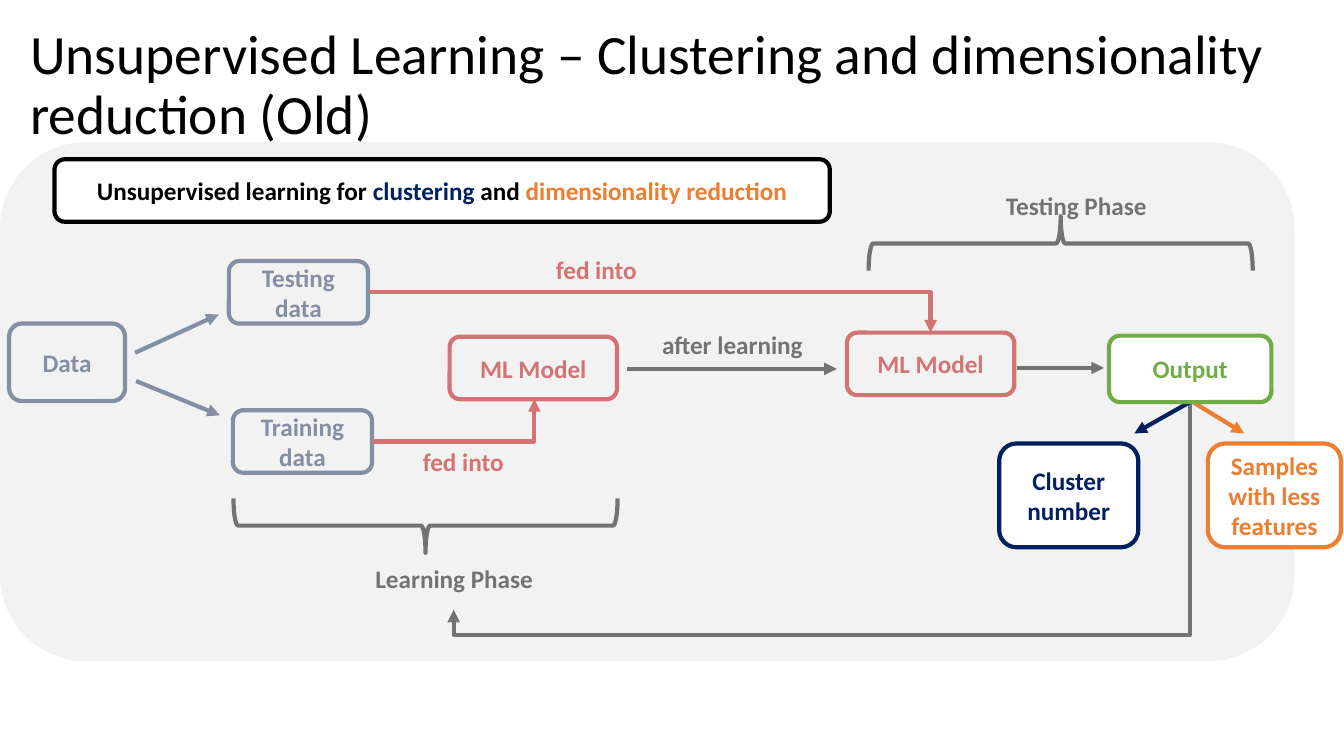
import pptx
import pptx.dml.color
import pptx.enum.shapes
import pptx.enum.text
import pptx.oxml.ns
import pptx.util
from lxml import etree

RGBColor = pptx.dml.color.RGBColor
BLACK = RGBColor(0, 0, 0)
WHITE = RGBColor(255, 255, 255)
BLUE = RGBColor(0x20, 0x38, 0x64)
RED = RGBColor(0xC0, 0, 0)
NAVY = RGBColor(0, 0x20, 0x60)
ORANGE = RGBColor(0xED, 0x7D, 0x31)
GREEN = RGBColor(0x70, 0xAD, 0x47)
GREY = RGBColor(0xE7, 0xE6, 0xE6)

FONT = "Calibri"
LINE_WIDTH = pptx.util.Pt(3)
BOX_ROWS = 6.2
SHAPES = pptx.enum.shapes.MSO_SHAPE
CONNECTORS = pptx.enum.shapes.MSO_CONNECTOR
MIDDLE = pptx.enum.text.MSO_ANCHOR.MIDDLE
ALIGN = pptx.enum.text.PP_ALIGN


def cells(*counts):
    return [pptx.util.Inches(count / 10) for count in counts]


def add_child(parent, tag, **attributes):
    return etree.SubElement(parent, pptx.oxml.ns.qn(tag), attributes)


def add_title(slide, text):
    title = slide.shapes.title
    title.left, title.top, title.width, title.height = cells(2, 5.5, 129.2, 6.2)
    frame = title.text_frame
    frame.text = text
    frame.word_wrap = True
    frame.auto_size = pptx.enum.text.MSO_AUTO_SIZE.NONE
    frame.vertical_anchor = MIDDLE
    paragraph = frame.paragraphs[0]
    paragraph.alignment = ALIGN.LEFT
    paragraph.line_spacing = 0.9
    paragraph.font.name = FONT
    paragraph.font.size = pptx.util.Pt(39.6)
    paragraph.font.color.rgb = BLACK


def add_shape(slide, kind, box, fill=None, line=None):
    shape = slide.shapes.add_shape(kind, *cells(*box))
    shape.shadow.inherit = False
    if fill is None:
        shape.fill.background()
    else:
        shape.fill.solid()
        shape.fill.fore_color.rgb = fill
    if line is None:
        shape.line.fill.background()
    else:
        shape.line.color.rgb = line
        shape.line.width = LINE_WIDTH
    return shape


def add_box(slide, box, runs, color, fill=WHITE, outlined=True):
    shape = add_shape(slide, SHAPES.ROUNDED_RECTANGLE, box, fill, color if outlined else None)
    frame = shape.text_frame
    frame.word_wrap = True
    frame.vertical_anchor = MIDDLE
    paragraph = frame.paragraphs[0]
    paragraph.alignment = ALIGN.CENTER
    paragraph.font.name = FONT
    paragraph.font.size = pptx.util.Pt(18)
    paragraph.font.bold = True
    paragraph.font.color.rgb = color
    for text, run_color in runs:
        run = paragraph.add_run()
        run.text = text
        run.font.color.rgb = run_color


def add_word_box(slide, box, text, color, **options):
    add_box(slide, box, [(text, color)], color, **options)


def add_brace(slide, box, rotation):
    brace = add_shape(slide, SHAPES.RIGHT_BRACE, box, line=BLACK)
    brace.rotation = rotation


def add_arrow(slide, ends, color, kind=CONNECTORS.STRAIGHT):
    arrow = slide.shapes.add_connector(kind, *cells(*ends))
    arrow.line.color.rgb = color
    arrow.line.width = LINE_WIDTH
    properties = arrow._element.spPr
    add_child(properties.find(pptx.oxml.ns.qn("a:ln")), "a:tailEnd", type="triangle")
    add_child(properties, "a:effectLst")
    return properties


def add_corner_arrow(slide, ends, color):
    properties = add_arrow(slide, ends, color, CONNECTORS.ELBOW)
    properties.find(pptx.oxml.ns.qn("a:prstGeom")).set("prst", "bentConnector2")


def add_return_arrow(slide, ends, color):
    properties = add_arrow(slide, ends, color, CONNECTORS.ELBOW)
    properties.find(pptx.oxml.ns.qn("a:xfrm")).set("rot", str(90 * 60000))
    adjustments = properties.find(".//" + pptx.oxml.ns.qn("a:avLst"))
    add_child(adjustments, "a:gd", name="adj1", fmla="val 112100")


def add_veil(slide):
    veil = add_shape(slide, SHAPES.ROUNDED_RECTANGLE, (0, 14.1, 128.4, 51.5), GREY)
    color = veil._element.spPr.find(".//" + pptx.oxml.ns.qn("a:srgbClr"))
    add_child(color, "a:alpha", val="50000")


def add_phases(slide):
    for left, top, text in ((96, 17.3, "Testing Phase"), (34.3, 54.3, "Learning Phase")):
        add_word_box(slide, (left, top, 21.5, BOX_ROWS), text, BLACK, outlined=False)
    add_brace(slide, (39.5, 33.1, 5.4, 38.1), 90)
    add_brace(slide, (102.5, 5.1, 5.4, 38.1), 270)


def add_pipeline(slide):
    add_word_box(slide, (0.9, 32.1, 11.5, 7.7), "Data", BLUE)
    for left, top, text in ((23.1, 40.7, "Training data"), (22.7, 25.9, "Testing data")):
        add_word_box(slide, (left, top, 13.8, BOX_ROWS), text, BLUE)
    for left, top in ((44.6, 33.4), (84, 33)):
        add_word_box(slide, (left, top, 16.6, BOX_ROWS), "ML Model", RED)
    for ends, color in (
        ((13.4, 35, 21.7, 31.2), BLUE),
        ((13.5, 37.8, 21.8, 41.2), BLUE),
        ((62.2, 36.6, 83, 36.6), BLACK),
        ((100.9, 36.5, 109.5, 36.5), BLACK),
    ):
        add_arrow(slide, ends, color)
    for ends in ((36.6, 29, 92.3, 33), (36.9, 43.8, 53, 39.6)):
        add_corner_arrow(slide, ends, RED)
    add_return_arrow(slide, (71.2, 13.7, 91.8, 86.7), BLACK)
    for left, top, text, color in (
        (62.8, 31.1, "after learning", BLACK),
        (36.1, 42.7, "fed into", RED),
        (49.3, 23.6, "fed into", RED),
    ):
        add_word_box(slide, (left, top, 19.7, BOX_ROWS), text, color, fill=None, outlined=False)


def add_results(slide):
    add_arrow(slide, (118, 39.9, 112.5, 43), NAVY)
    add_arrow(slide, (118, 39.7, 123.4, 43), ORANGE)
    add_word_box(slide, (99.1, 44, 13.8, 10.3), "Cluster number", NAVY)
    add_word_box(slide, (119.8, 44, 13.2, 10.3), "Samples with less features", ORANGE)
    add_word_box(slide, (110, 33.3, 16.1, 6.6), "Output", GREEN)


def main():
    presentation = pptx.Presentation()
    presentation.slide_width = pptx.util.Inches(13.33)
    presentation.slide_height = pptx.util.Inches(7.5)
    slide = presentation.slides.add_slide(presentation.slide_layouts[5])
    add_title(slide, "Unsupervised Learning – Clustering and dimensionality reduction (Old)")
    add_phases(slide)
    add_pipeline(slide)
    add_veil(slide)
    add_results(slide)
    heading = [
        ("Unsupervised learning for", BLACK),
        (" clustering ", NAVY),
        ("and ", BLACK),
        ("dimensionality reduction", ORANGE),
    ]
    add_box(slide, (5.4, 15.8, 76.9, BOX_ROWS), heading, BLACK)
    presentation.save("out.pptx")


main()
